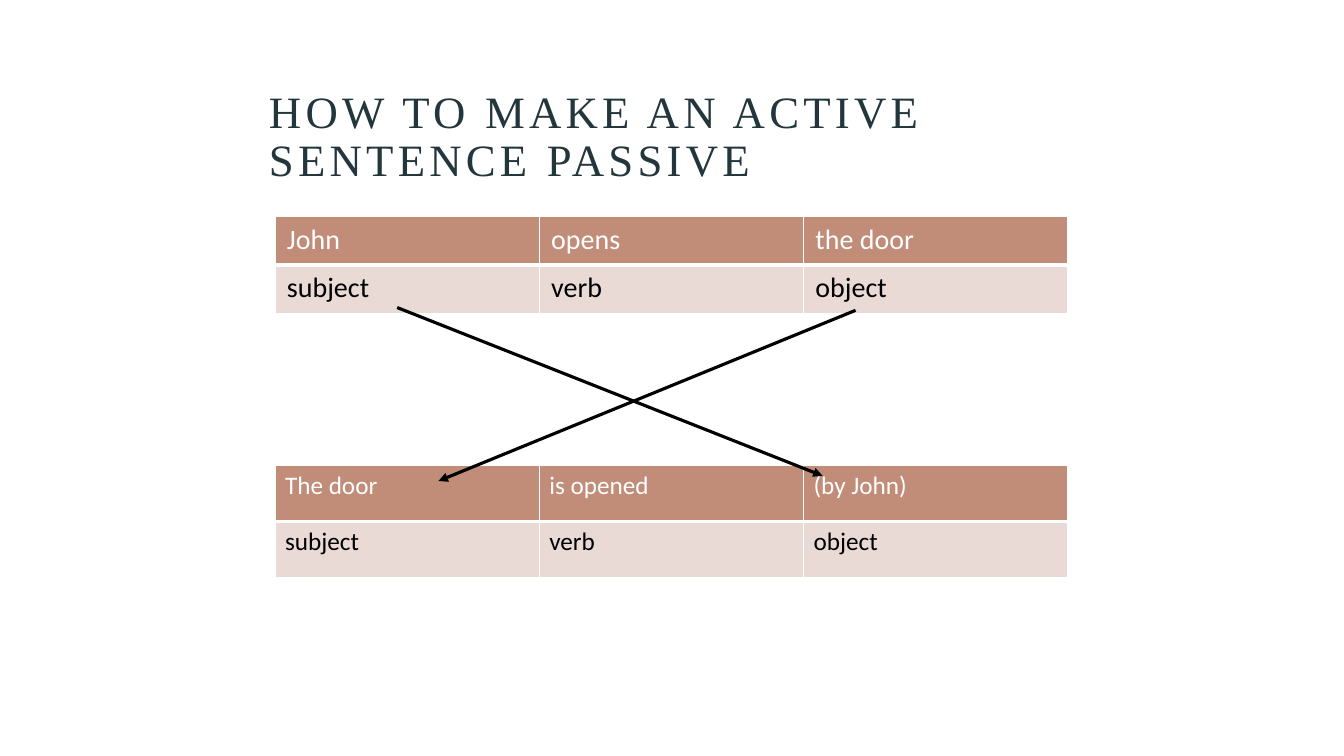
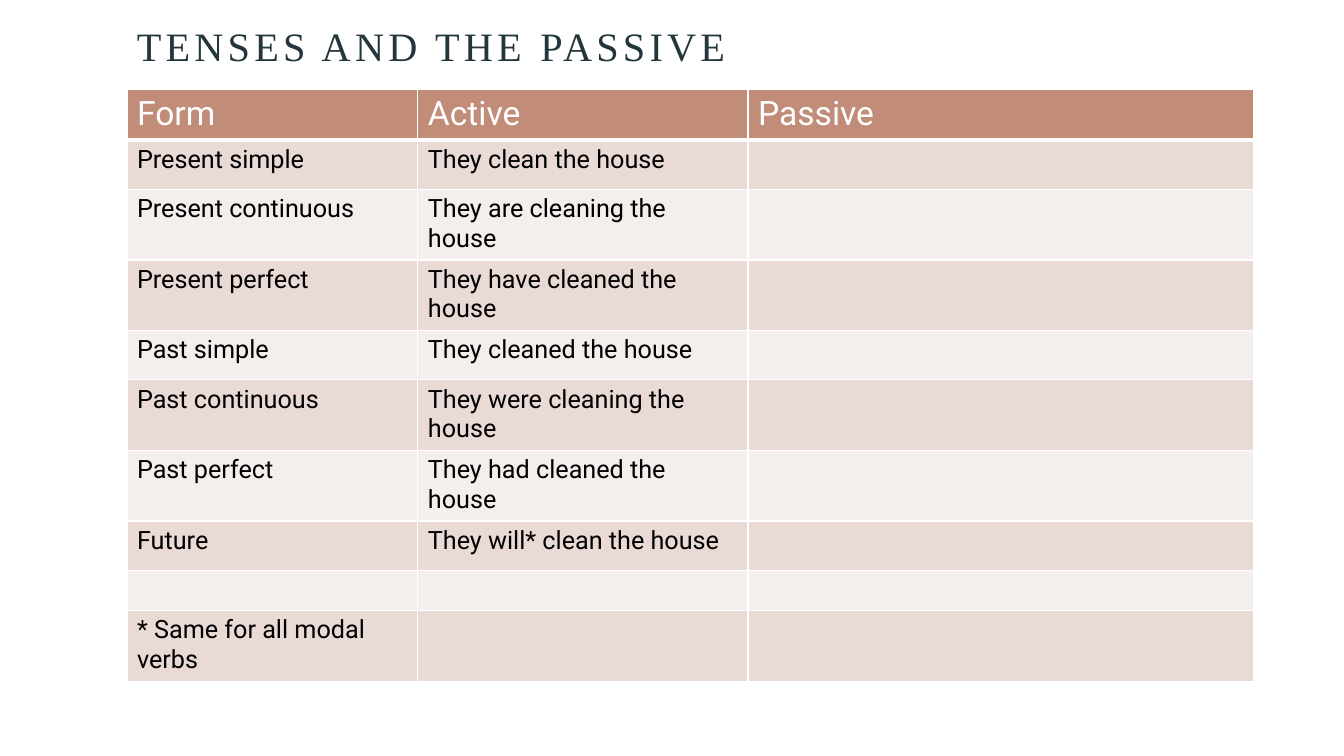
"""Build two slides on turning active sentences into passive ones."""
import dataclasses

import pptx
import pptx.dml.color
import pptx.enum.shapes
import pptx.enum.text
import pptx.oxml
import pptx.oxml.ns
import pptx.util

Cm, Pt = pptx.util.Cm, pptx.util.Pt
A = pptx.oxml.ns.nsdecls("a")


@dataclasses.dataclass(frozen=True)
class Theme:
    ink: str = "22363C"
    text: str = "000000"
    white: str = "FFFFFF"
    header: str = "C18C78"
    bands: tuple = ("E9DAD6", "F4EEEC")
    title_font: str = "Times New Roman"
    sentence_font: str = "Calibri"
    tense_font: str = "Roboto"
    title: float = 32
    title_small: float = 28.8
    heading: float = 24
    large: float = 20
    body: float = 18
    arrow: float = 2.25
    border: float = 1
    header_border: float = 3


def rgb(color):
    return pptx.dml.color.RGBColor.from_string(color)


def write(tf, text, *, font, size, color, spacing=0, line=None):
    p = tf.paragraphs[0]
    if line:
        p.line_spacing = line
    r = p.add_run()
    r.text = text
    r.font.name, r.font.size, r.font.bold = font, Pt(size), False
    r.font.color.rgb = rgb(color)
    if spacing:
        r.font._element.set("spc", str(spacing * 100))


class Deck:
    def __init__(self, theme):
        self.theme = theme
        self.prs = pptx.Presentation()
        self.prs.slide_width, self.prs.slide_height = Cm(33.87), Cm(19.05)
        self.s = None

    def slide(self):
        self.s = self.prs.slides.add_slide(self.prs.slide_layouts[6])

    def title(self, text, left, top, width, height, size):
        tf = self.s.shapes.add_textbox(Cm(left), Cm(top), Cm(width), Cm(height)).text_frame
        tf.word_wrap = True
        tf.vertical_anchor = pptx.enum.text.MSO_ANCHOR.BOTTOM
        write(tf, text, font=self.theme.title_font, size=size,
              color=self.theme.ink, spacing=3, line=0.9)

    def border(self, cell, header):
        tcPr = cell._tc.get_or_add_tcPr()
        for i, side in enumerate("LRTB"):
            width = self.theme.header_border if header and side == "B" else self.theme.border
            tcPr.insert(i, pptx.oxml.parse_xml(
                f'<a:ln{side} {A} w="{Pt(width)}"><a:solidFill>'
                f'<a:srgbClr val="{self.theme.white}"/></a:solidFill></a:ln{side}>'))

    def table(self, rows, left, top, widths, heights, font, size, head_size=None, inset=None):
        t = self.theme
        table = self.s.shapes.add_table(
            len(rows), len(widths), Cm(left), Cm(top), Cm(sum(widths)), Cm(sum(heights))).table
        table.horz_banding = False
        for column, width in zip(table.columns, widths):
            column.width = Cm(width)
        for i, (row, height) in enumerate(zip(rows, heights)):
            table.rows[i].height = Cm(height)
            header = i == 0
            for j in range(len(widths)):
                cell = table.cell(i, j)
                cell.fill.solid()
                cell.fill.fore_color.rgb = rgb(t.header if header else t.bands[(i - 1) % 2])
                self.border(cell, header)
                if inset:
                    cell.margin_left = cell.margin_right = Cm(inset)
                    cell.margin_top = cell.margin_bottom = Cm(inset / 2)
                if j < len(row):
                    write(cell.text_frame, row[j], font=font,
                          size=head_size if header and head_size else size,
                          color=t.white if header else t.text)

    def arrow(self, x1, y1, x2, y2):
        line = self.s.shapes.add_connector(
            pptx.enum.shapes.MSO_CONNECTOR.STRAIGHT, Cm(x1), Cm(y1), Cm(x2), Cm(y2))
        line.line.color.rgb = rgb(self.theme.text)
        line.line.width = Pt(self.theme.arrow)
        line.line._get_or_add_ln().append(pptx.oxml.parse_xml(f'<a:tailEnd {A} type="triangle"/>'))
        line._element.spPr.append(pptx.oxml.parse_xml(f"<a:effectLst {A}/>"))


def passive_slide(deck):
    t = deck.theme
    roles = ("subject", "verb", "object")
    left, widths = 6.93, [6.66] * 3
    deck.slide()
    deck.title("HOW TO MAKE AN ACTIVE SENTENCE PASSIVE", 6.53, 0.79, 20.95, 4.04, t.title)
    deck.table([("John", "opens", "the door"), roles], left, 5.46, widths, [1.22] * 2,
               t.sentence_font, t.large, inset=0.3)
    deck.table([("The door", "is opened", "(by John)"), roles], left, 11.73, widths, [1.41] * 2,
               t.sentence_font, t.body)
    deck.arrow(21.56, 7.82, 11.05, 12.12)
    deck.arrow(10.01, 7.75, 20.73, 11.99)


def tenses_slide(deck):
    t = deck.theme
    one_line, two_lines, empty = 1.24, 1.74, 1
    rows = [
        (one_line, "Form", "Active", "Passive"),
        (one_line, "Present simple", "They clean the house"),
        (two_lines, "Present continuous", "They are cleaning the house"),
        (two_lines, "Present perfect", "They have cleaned the house"),
        (one_line, "Past simple", "They cleaned the house"),
        (two_lines, "Past continuous", "They were cleaning the house"),
        (two_lines, "Past perfect", "They had cleaned the house"),
        (one_line, "Future", "They will* clean the house"),
        (empty,),
        (two_lines, "* Same for all modal verbs"),
    ]
    deck.slide()
    deck.title("TENSES AND THE PASSIVE", 3.2, 0.76, 20.95, 1.14, t.title_small)
    deck.table([row[1:] for row in rows], 3.2, 2.26, [7.33, 8.32, 12.75],
               [row[0] for row in rows], t.tense_font, t.body, head_size=t.heading)


def main():
    deck = Deck(Theme())
    passive_slide(deck)
    tenses_slide(deck)
    deck.prs.save("out.pptx")


if __name__ == "__main__":
    main()
